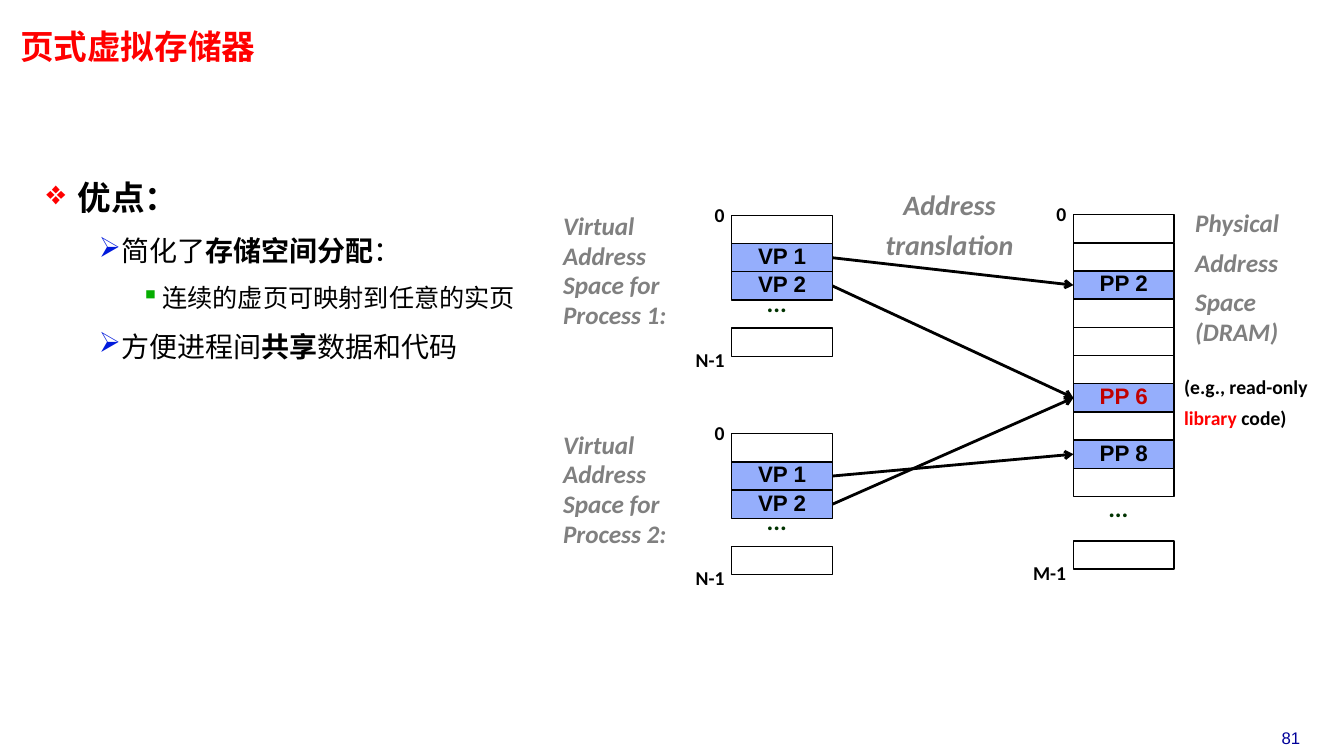
from lxml.etree import SubElement
from pptx import Presentation
from pptx.dml.color import RGBColor
from pptx.enum.shapes import MSO_CONNECTOR, MSO_SHAPE
from pptx.enum.text import MSO_ANCHOR, PP_ALIGN
from pptx.oxml.ns import qn
from pptx.util import Cm, Pt

BLACK = RGBColor(0x00, 0x00, 0x00)
RED = RGBColor(0xFF, 0x00, 0x00)
DARK_RED = RGBColor(0xC0, 0x00, 0x00)
GREY = RGBColor(0x80, 0x80, 0x80)
NAVY = RGBColor(0x00, 0x00, 0x99)
BLUE = RGBColor(0x00, 0x1A, 0xDC)
GREEN = RGBColor(0x05, 0xAD, 0x01)
DARK_GREEN = RGBColor(0x00, 0x33, 0x00)
PAGE_BLUE = RGBColor(0x95, 0xAE, 0xFC)

TITLE = "页式虚拟存储器"
SLIDE_NUMBER = "81"

# Each level: bullet, bullet colour, text size, left margin and hanging indent in cm
LEVELS = [("❖", RED, 24, 0.79, 0.79), ("➢", BLUE, 20, 1.85, 0.53), ("▪", GREEN, 18, 2.92, 0.53)]
# Each point: level, then runs of text and boldness
POINTS = [
    (0, [("优点：", True)]),
    (1, [("简化了", False), ("存储空间分配", True), ("：", False)]),
    (2, [("连续的虚页可映射到任意的实页", False)]),
    (1, [("方便进程间", False), ("共享", True), ("数据和代码", False)]),
]

# Each memory: left, top, row height, pages by row, row of the last page, last address
PAGE_WIDTH, PAGE_HEIGHT = 2.54, 0.71
VIRTUAL_PAGES = ["", "VP 1", "VP 2"]
PHYSICAL_PAGES = ["", "", "PP 2", "", "", "", "PP 6", "", "PP 8", ""]
MEMORIES = {
    "process 1": (18.44, 5.43, 0.71, VIRTUAL_PAGES, 4, "N-1"),
    "process 2": (18.44, 10.93, 0.71, VIRTUAL_PAGES, 4, "N-1"),
    "physical": (27.05, 5.41, 0.71, PHYSICAL_PAGES, 11.58, "M-1"),
}
SHARED_PAGE = "PP 6"
MAPPINGS = [
    ("process 1", "VP 1", "PP 2"),
    ("process 1", "VP 2", "PP 6"),
    ("process 2", "VP 2", "PP 6"),
    ("process 2", "VP 1", "PP 8"),
]

# Each caption: box in cm, paragraphs, format
SIDE = dict(size=18, color=GREY, bold=True, italic=True)
CAPTIONS = [
    ((13.94, 5.21, 3.81, 3.25), ["Virtual Address Space for Process 1:"], SIDE),
    ((13.94, 10.72, 3.81, 3.25), ["Virtual Address Space for Process 2:"], SIDE),
    ((29.87, 5.13, 2.97, 3.89), ["Physical", "Address", "Space (DRAM)"], SIDE),
    ((29.59, 9.35, 4.04, 1.65),
     ["(e.g., read-only", [("library", {"color": RED}), (" code)", {})]],
     dict(size=14, bold=True)),
    ((22.05, 4.72, 3.76, 2.06), ["Address", "translation"],
     dict(SIDE, size=20, line_spacing=0.85, align=PP_ALIGN.CENTER)),
]


def write_text(frame, paragraphs, *, size, font="Calibri", color=BLACK, bold=False, italic=False,
               align=PP_ALIGN.LEFT, line_spacing=0.98, levels=None):
    """Fill a frame; a paragraph is a string or a list of (text, overrides) runs."""
    for index, runs in enumerate(paragraphs):
        paragraph = frame.paragraphs[0] if index == 0 else frame.add_paragraph()
        paragraph.alignment = align
        paragraph.line_spacing = line_spacing
        paragraph_size = size
        if levels:
            paragraph.level = levels[index]
            paragraph_size = add_bullet(paragraph, *LEVELS[levels[index]])
        elif index:
            paragraph.space_before = Pt(0.4 * size)
        for text, overrides in [(runs, {})] if isinstance(runs, str) else runs:
            run = paragraph.add_run()
            run.text = text
            run.font.name = font
            run.font.size = Pt(paragraph_size)
            run.font.bold = overrides.get("bold", bold)
            run.font.italic = italic
            run.font.color.rgb = overrides.get("color", color)
            SubElement(run._r.get_or_add_rPr(), qn("a:ea"), typeface=font)


def add_bullet(paragraph, bullet, color, size, margin, hanging):
    """Give the paragraph its bullet and return the text size of its level."""
    properties = paragraph._p.get_or_add_pPr()
    properties.set("marL", str(Cm(margin)))
    properties.set("indent", str(-Cm(hanging)))
    bullet_color = SubElement(properties, qn("a:buClr"))
    SubElement(bullet_color, qn("a:srgbClr"), val=str(color))
    SubElement(properties, qn("a:buChar"), char=bullet)
    return size


def add_text(slide, box, paragraphs, *, margins=(0.25, 0.13), wrap=True, **text_format):
    frame = slide.shapes.add_textbox(*map(Cm, box)).text_frame
    frame.word_wrap = wrap
    frame.margin_left = frame.margin_right = Cm(margins[0])
    frame.margin_top = frame.margin_bottom = Cm(margins[1])
    write_text(frame, paragraphs, **text_format)


def add_page(slide, left, top, name=""):
    page = slide.shapes.add_shape(
        MSO_SHAPE.RECTANGLE, Cm(left), Cm(top), Cm(PAGE_WIDTH), Cm(PAGE_HEIGHT))
    page.shadow.inherit = False
    page.line.color.rgb = BLACK
    page.line.width = Pt(1)
    if name:
        page.fill.solid()
        page.fill.fore_color.rgb = PAGE_BLUE
        page.text_frame.vertical_anchor = MSO_ANCHOR.MIDDLE
        write_text(page.text_frame, [name], size=16, font="Arial", bold=True, line_spacing=0.85,
                   color=DARK_RED if name == SHARED_PAGE else BLACK, align=PP_ALIGN.CENTER)
    else:
        page.fill.background()
    return page


def add_memory(slide, left, top, row_height, names, last_row, last_address):
    """Draw a column of pages with its addresses and return the named pages."""
    pages = {}
    for row, name in enumerate(names):
        page = add_page(slide, left, top + row * row_height, name)
        if name:
            pages[name] = page
    last_top = top + last_row * row_height
    add_page(slide, left, last_top)
    gap_middle = (top + len(names) * row_height + last_top) / 2
    add_text(slide, (left + 0.63, gap_middle - 0.7, 1.02, 0.91), ["..."], wrap=False,
             size=18, color=DARK_GREEN, bold=True, line_spacing=0.88)
    for address, address_top in (("0", top - 0.43), (last_address, last_top + 0.4)):
        add_text(slide, (left - 1.43, address_top, 1.5, 0.84), [address],
                 size=14, bold=True, align=PP_ALIGN.RIGHT)
    return pages


def add_mapping(slide, virtual_page, physical_page):
    arrow = slide.shapes.add_connector(MSO_CONNECTOR.STRAIGHT, 0, 0, 0, 0)
    arrow.begin_connect(virtual_page, 3)
    arrow.end_connect(physical_page, 1)
    arrow.line.color.rgb = BLACK
    arrow.line.width = Pt(2)
    SubElement(arrow.line._get_or_add_ln(), qn("a:tailEnd"), type="arrow")
    SubElement(arrow._element.spPr, qn("a:effectLst"))


def main():
    presentation = Presentation()
    presentation.slide_width, presentation.slide_height = Cm(33.87), Cm(19.05)
    slide = presentation.slides.add_slide(presentation.slide_layouts[6])

    add_text(slide, (31.34, 18.21, 2.39, 0.76), [SLIDE_NUMBER], size=12, font="Arial",
             color=NAVY, align=PP_ALIGN.CENTER, line_spacing=1.0)
    add_text(slide, (0.33, 0.71, 14.6, 1.04), [TITLE], margins=(0.18, 0.08), size=24,
             font="Noto Sans Mono", color=RED, bold=True, line_spacing=0.87)
    add_text(slide, (0.99, 3.86, 12.67, 7.98),
             [[(text, {"bold": bold}) for text, bold in runs] for _, runs in POINTS],
             margins=(0.18, 0.08), size=20, font="Noto Sans CJK SC", line_spacing=1.5,
             levels=[level for level, _ in POINTS])

    for box, paragraphs, text_format in CAPTIONS:
        add_text(slide, box, paragraphs, **text_format)
    pages = {name: add_memory(slide, *memory) for name, memory in MEMORIES.items()}
    for process, virtual_name, physical_name in MAPPINGS:
        add_mapping(slide, pages[process][virtual_name], pages["physical"][physical_name])

    presentation.save("out.pptx")


if __name__ == "__main__":
    main()
